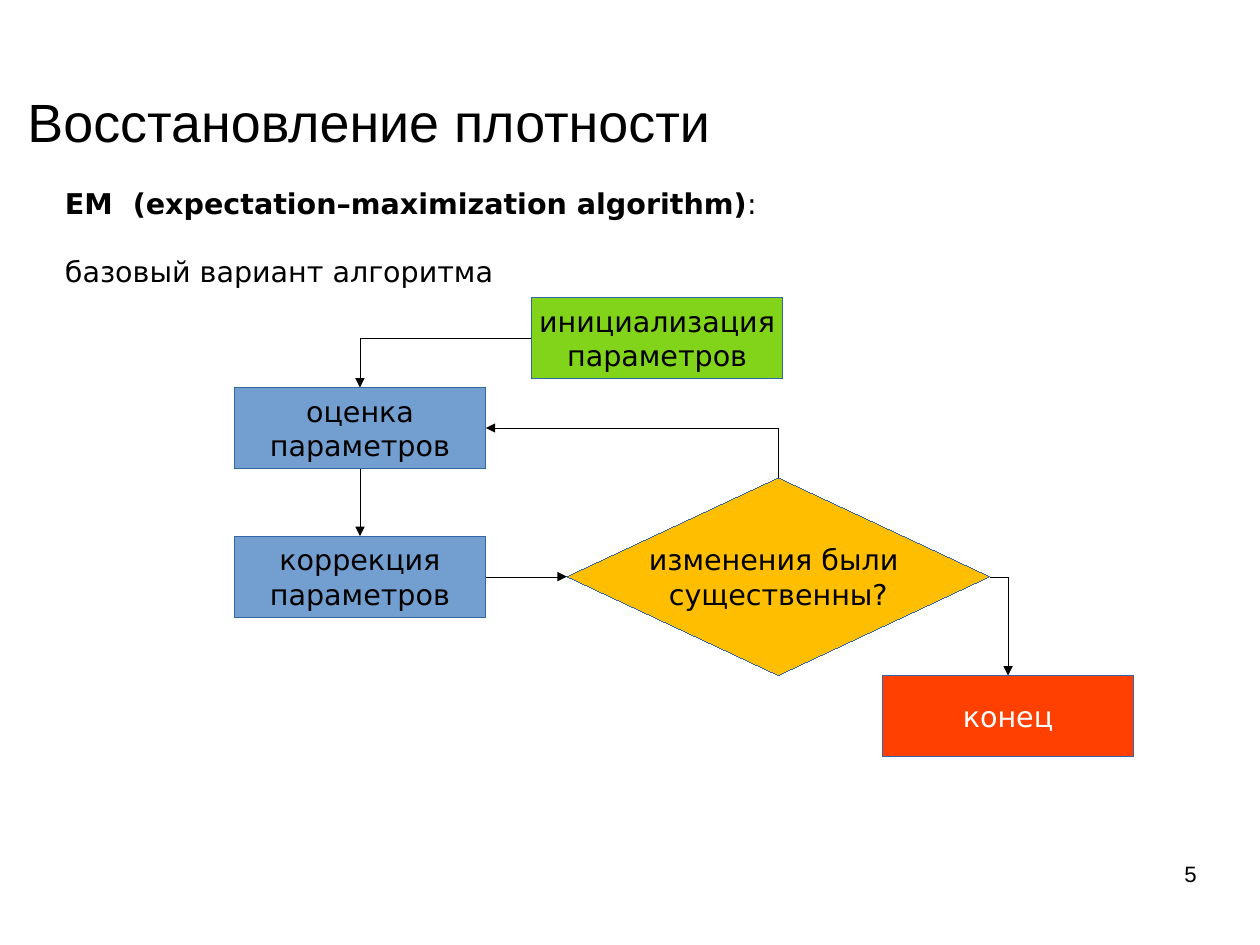
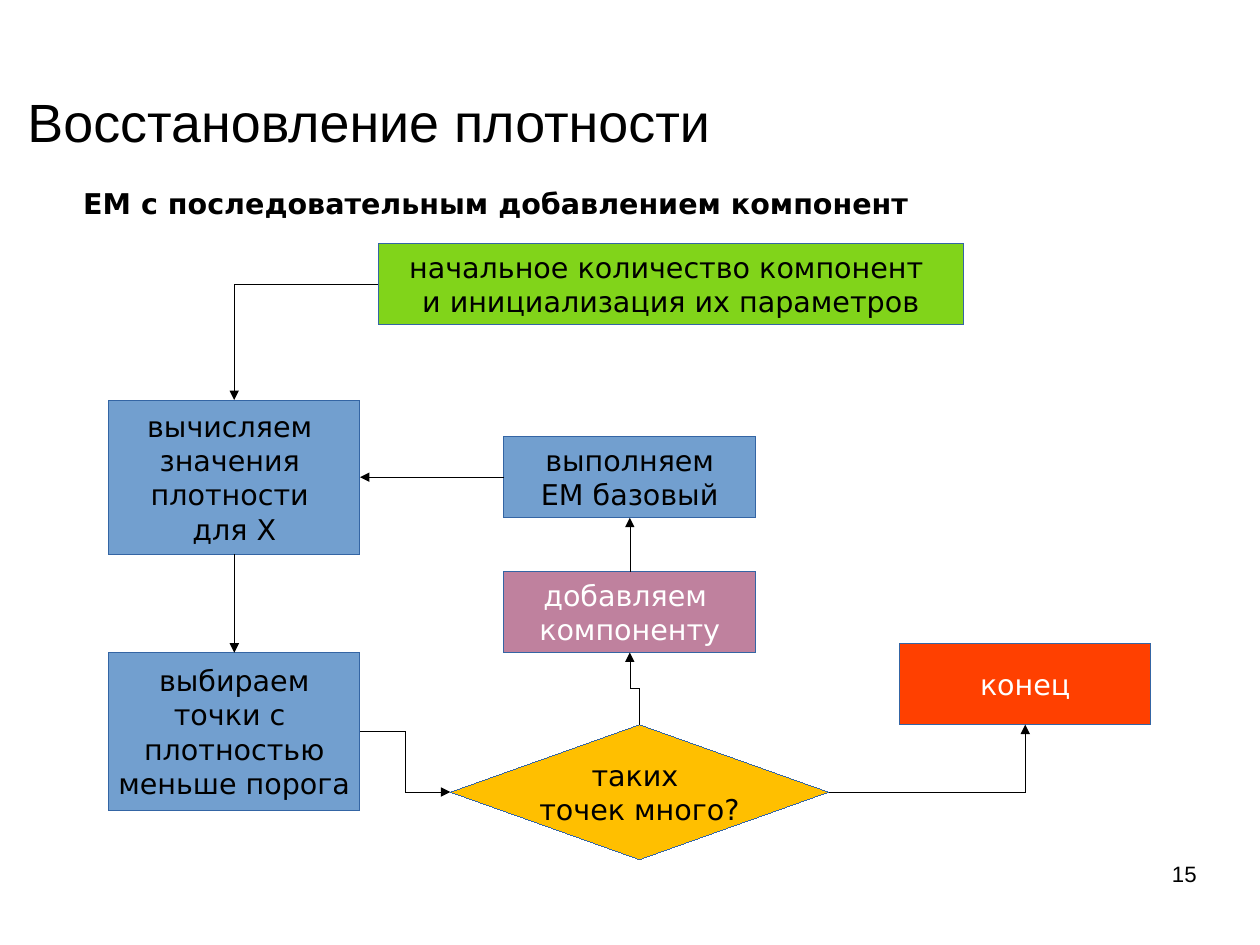
import pptx
import pptx.util
import pptx.dml.color
import pptx.enum.shapes
import pptx.enum.text
import pptx.oxml.ns
import lxml.etree
from dataclasses import dataclass

Inches, Pt, Cm = pptx.util.Inches, pptx.util.Pt, pptx.util.Cm
SHAPE = pptx.enum.shapes.MSO_SHAPE
WIRE = pptx.enum.shapes.MSO_CONNECTOR
ALIGN = pptx.enum.text.PP_ALIGN
MIDDLE = pptx.enum.text.MSO_ANCHOR.MIDDLE
qn = pptx.oxml.ns.qn


@dataclass(frozen=True)
class Theme:
    black: str = "000000"
    white: str = "FFFFFF"
    edge: str = "3465A4"
    head: str = "Arial"
    body: str = "DejaVu Sans"
    title: float = 33.9
    text: float = 18
    page: float = 14
    gap: float = 21


THEME = Theme()
TITLE = "Восстановление плотности"
BOX = (2.2, 0.71)
TOP, LEFT, BOTTOM, RIGHT = range(4)  # connection sites

# role: shape, fill, text colour
ROLES = {
    "start": (SHAPE.RECTANGLE, "81D41A", THEME.black),
    "step": (SHAPE.RECTANGLE, "729FCF", THEME.black),
    "add": (SHAPE.RECTANGLE, "BF819E", THEME.white),
    "test": (SHAPE.DIAMOND, "FFBF00", THEME.black),
    "end": (SHAPE.RECTANGLE, "FF4000", THEME.white),
}

# nodes: name: role, text, (left, top), size
# links: from, site, to, site, bends
SLIDES = [
    {
        "page": "5",
        "at": (0.47, 1.58, 7.48, 1.01),
        "lead": [
            [("EM  (expectation–maximization algorithm)", True), (":", False)],
            [("базовый вариант алгоритма", False)],
        ],
        "nodes": {
            "init": ("start", "инициализация\nпараметров", (4.65, 2.6), BOX),
            "guess": ("step", "оценка\nпараметров", (2.05, 3.39), BOX),
            "fix": ("step", "коррекция\nпараметров", (2.05, 4.69), BOX),
            "test": ("test", "изменения были \nсущественны?", (4.96, 4.18), (3.7, 1.73)),
            "end": ("end", "конец", (7.72, 5.91), BOX),
        },
        "links": [
            ("init", LEFT, "guess", TOP, 1),
            ("guess", BOTTOM, "fix", TOP, 0),
            ("fix", RIGHT, "test", LEFT, 0),
            ("test", TOP, "guess", RIGHT, 1),
            ("test", RIGHT, "end", TOP, 1),
        ],
    },
    {
        "page": "15",
        "at": (0.63, 1.58, 7.56, 0.4),
        "lead": [[("EM с последовательным добавлением компонент", True)]],
        "nodes": {
            "init": ("start", "начальное количество компонент \nи инициализация их параметров",
                     (3.31, 2.13), (5.12, 0.71)),
            "count": ("step", "вычисляем \nзначения \nплотности \nдля X",
                      (0.95, 3.5), (2.2, 1.35)),
            "pick": ("step", "выбираем\nточки с \nплотностью\nменьше порога",
                     (0.95, 5.71), (2.2, 1.38)),
            "test": ("test", "таких \nточек много?", (3.94, 6.34), (3.31, 1.18)),
            "end": ("end", "конец", (7.87, 5.63), BOX),
            "add": ("add", "добавляем \nкомпоненту", (4.41, 5), BOX),
            "run": ("step", "выполняем\nЕМ базовый", (4.41, 3.82), BOX),
        },
        "links": [
            ("init", LEFT, "count", TOP, 1),
            ("count", BOTTOM, "pick", TOP, 0),
            ("pick", RIGHT, "test", LEFT, 2),
            ("test", TOP, "add", BOTTOM, 2),
            ("test", RIGHT, "end", BOTTOM, 1),
            ("add", TOP, "run", BOTTOM, 0),
            ("run", LEFT, "count", RIGHT, 0),
        ],
    },
]


def color(code):
    return pptx.dml.color.RGBColor.from_string(code)


def style(frame, face, size, ink=THEME.black, align=ALIGN.LEFT):
    for para in frame.paragraphs:
        para.alignment = align
        for run in para.runs:
            run.font.name, run.font.size = face, Pt(size)
            run.font.color.rgb = color(ink)


def inset(frame, size):
    frame.margin_left = frame.margin_right = Inches(size)
    frame.margin_top = frame.margin_bottom = Inches(size / 2)


def place(shape, box):
    shape.left, shape.top, shape.width, shape.height = map(Inches, box)


def hairline(shape, ink):
    """Draw the thinnest line, free of the theme's line style."""
    shape.line.color.rgb = color(ink)
    shape.line.width = Pt(0)
    item = shape._element
    item.remove(item.find(qn("p:style")))


def add_text(slide, box, pad):
    frame = slide.shapes.add_textbox(*map(Inches, box)).text_frame
    frame.word_wrap = True
    inset(frame, pad)
    return frame


def add_lead(slide, box, lines):
    frame = add_text(slide, box, 0.1)
    for i, line in enumerate(lines):
        para = frame.add_paragraph() if i else frame.paragraphs[0]
        if i:
            para.space_before = Pt(THEME.gap)
        for text, bold in line:
            run = para.add_run()
            run.text, run.font.bold = text, bold
    style(frame, THEME.body, THEME.text)


def add_node(slide, role, text, spot, size):
    kind, fill, ink = ROLES[role]
    node = slide.shapes.add_shape(kind, *map(Inches, spot + size))
    node.shadow.inherit = False
    node.fill.solid()
    node.fill.fore_color.rgb = color(fill)
    hairline(node, THEME.edge)
    frame = node.text_frame
    frame.text = text
    frame.word_wrap = False
    frame.vertical_anchor = MIDDLE
    inset(frame, 0.1)
    style(frame, THEME.body, THEME.text, ink, ALIGN.CENTER)
    return node


def turn(wire):
    """Make a bent line leave its start upright."""
    x, y, u, v = wire.begin_x, wire.begin_y, wire.end_x, wire.end_y
    wide, high = abs(v - y), abs(u - x)
    wire.left, wire.top = (x + u - wide) // 2, (y + v - high) // 2
    wire.width, wire.height = wide, high
    frame = wire._element.spPr.find(qn("a:xfrm"))
    frame.set("rot", "16200000")
    frame.set("flipH", str(int(v > y)))
    frame.set("flipV", str(int(u < x)))


def add_link(slide, start, out, end, into, bends):
    kind = WIRE.ELBOW if bends else WIRE.STRAIGHT
    wire = slide.shapes.add_connector(kind, 0, 0, 0, 0)
    wire.begin_connect(start, out)
    wire.end_connect(end, into)
    hairline(wire, THEME.black)
    part = wire._element.spPr
    if bends == 1:
        part.find(qn("a:prstGeom")).set("prst", "bentConnector2")
    if bends and out in (TOP, BOTTOM):
        turn(wire)
    tip = lxml.etree.SubElement(part.find(qn("a:ln")), qn("a:tailEnd"))
    tip.set("type", "triangle")
    lxml.etree.SubElement(part, qn("a:effectLst"))


def build(deck, layout, data):
    slide = deck.slides.add_slide(layout)
    frame = slide.shapes.title.text_frame
    frame.text = TITLE
    style(frame, THEME.head, THEME.title)
    add_lead(slide, data["at"], data["lead"])
    nodes = {name: add_node(slide, *node) for name, node in data["nodes"].items()}
    for start, out, end, into, bends in data["links"]:
        add_link(slide, nodes[start], out, nodes[end], into, bends)
    # Page number
    frame = add_text(slide, (7.9, 7.53, 2.57, 0.57), 0)
    frame.text = data["page"]
    style(frame, THEME.head, THEME.page, align=ALIGN.RIGHT)


def main():
    deck = pptx.Presentation()
    deck.slide_width, deck.slide_height = Cm(28), Cm(21)
    # Shared title place
    layout = deck.slide_layouts[5]
    title = layout.placeholders[0]
    place(title, (0.24, 0.79, 9.68, 0.54))
    inset(title.text_frame, 0)
    title.text_frame.vertical_anchor = MIDDLE
    title.text_frame.auto_size = pptx.enum.text.MSO_AUTO_SIZE.NONE
    for data in SLIDES:
        build(deck, layout, data)
    deck.save("out.pptx")


if __name__ == "__main__":
    main()
